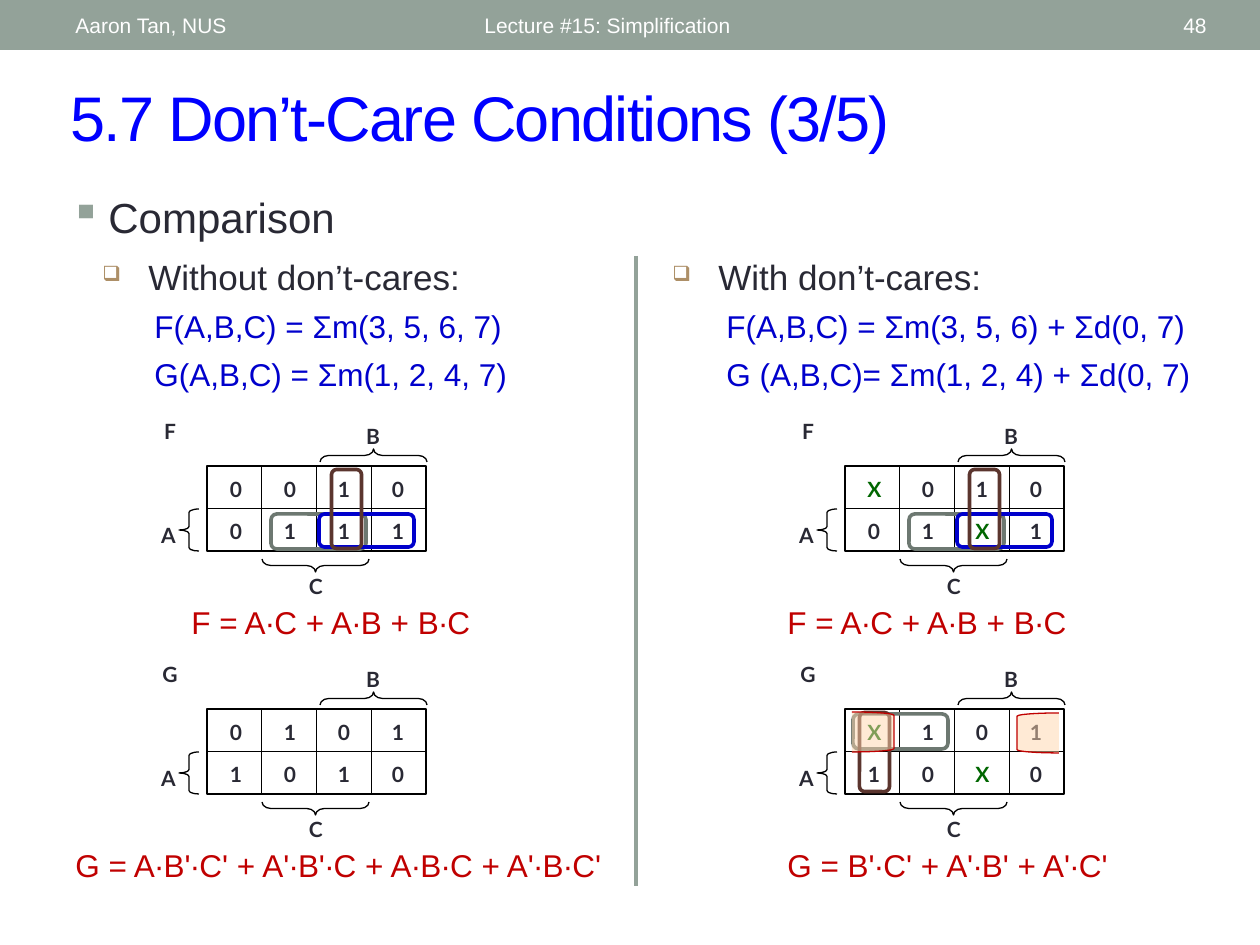
from lxml import etree
from pptx import Presentation
from pptx.dml.color import RGBColor
from pptx.enum.shapes import MSO_CONNECTOR, MSO_SHAPE
from pptx.enum.text import MSO_ANCHOR, PP_ALIGN
from pptx.oxml.ns import qn
from pptx.util import Emu, Pt

RECT, ROUNDED = MSO_SHAPE.RECTANGLE, MSO_SHAPE.ROUNDED_RECTANGLE
BRACE, BRACKET = MSO_SHAPE.LEFT_BRACE, MSO_SHAPE.LEFT_BRACKET
STRAIGHT = MSO_CONNECTOR.STRAIGHT
TOP, MIDDLE = MSO_ANCHOR.TOP, MSO_ANCHOR.MIDDLE
LEFT, CENTER, RIGHT = PP_ALIGN.LEFT, PP_ALIGN.CENTER, PP_ALIGN.RIGHT

SAGE, TAN, DARK, BLACK, WHITE = "93A299", "AD8F67", "292934", "000000", "FFFFFF"
GRAY, NAVY, BROWN, RED, GREEN = "6D7871", "0000CC", "5B352E", "C00000", "006600"
PEACH = "FFD6AD"

HEADER = {"size": 12, "color": WHITE, "anchor": MIDDLE}
TITLE = {"size": 36, "color": "0000FF", "anchor": MIDDLE, "spacing": -100}
TOPIC = {"size": 24, "color": DARK, "bullet": ("▪", SAGE, 100), "indent": (38, -38)}
HEADING = {"size": 20, "color": DARK, "bullet": ("❑", TAN, 60), "indent": (92, -46), "level": 1}
MINTERMS = {"size": 18, "color": NAVY, "indent": (15, 0), "level": 1}
RESULT = {**MINTERMS, "color": RED}
MAP_LABEL = {"size": 12, "color": DARK, "font": "Lato", "bold": True, "align": CENTER, "wrap": False}

TEXTS = [
    (["5.7 Don’t-Care Conditions (3/5)"], (58, 72, 1143, 88), TITLE),
    (["Lecture #15: Simplification"], (472, 3, 567, 45), HEADER),
    (["48"], (1099, 3, 120, 45), {**HEADER, "align": RIGHT}),
    (["Aaron Tan, NUS"], (63, 3, 399, 45), HEADER),
    (["Comparison"], (58, 185, 1134, 66), TOPIC),
    (["With don’t-cares:"], (614, 249, 451, 54), HEADING),
    (["Without don’t-cares:"], (44, 249, 451, 54), HEADING),
    (["F(A,B,C) = Σm(3, 5, 6, 7)", "G(A,B,C) = Σm(1, 2, 4, 7)"], (127, 301, 412, 112), MINTERMS),
    (["F(A,B,C) = Σm(3, 5, 6) + Σd(0, 7)", "G (A,B,C)= Σm(1, 2, 4) + Σd(0, 7)"],
     (699, 301, 525, 112), MINTERMS),
    (["F = A∙C + A∙B + B∙C"], (164, 597, 341, 54), RESULT),
    (["G = A∙B'∙C' + A'∙B'∙C + A∙B∙C + A'∙B∙C'"], (48, 840, 597, 54), RESULT),
    (["F = A∙C + A∙B + B∙C"], (760, 597, 341, 54), RESULT),
    (["G = B'∙C' + A'∙B' + A'∙C'"], (760, 840, 378, 54), RESULT),
]

F_LOOPS = [
    (ROUNDED, (64, 48, 95, 35), 0, GRAY),
    (ROUNDED, (112, 48, 95, 33), 0, NAVY),
    (ROUNDED, (100, 28, 79, 30), 270, BROWN),
]
G_LOOPS = [
    (ROUNDED, (8, 5, 95, 35), 0, GRAY),
    (ROUNDED, (-10, 28, 79, 30), 270, BROWN),
]
WRAP_AROUND = [((172, 4, 42, 40), False), ((7, 3, 42, 40), True)]

KARNAUGH_MAPS = [
    ("G", (207, 709), ["0101", "1010"], [], []),
    ("F", (207, 466), ["0010", "0111"], F_LOOPS, []),
    ("F", (845, 466), ["X010", "01X1"], F_LOOPS, []),
    ("G", (845, 709), ["X101", "10X0"], G_LOOPS, WRAP_AROUND),
]
GRID_W, GRID_H = 219, 85
BRACES = [
    ((-28, 43, 20, 42), 0, 0.17),
    ((160, -64, 13, 107), 90, 0.68),
    ((102, 46, 13, 107), 270, 0.68),
]
VARIABLES = [
    ("A", (-70, 50, 63, 34)),
    ("B", (146, -49, 40, 33)),
    ("C", (89, 101, 40, 37)),
]
NAME_BOX = (-58, -54, 42, 34)


def px(length):
    return Emu(round(length * 914400 / 126))


def rgb(value):
    return RGBColor.from_string(value)


def shift(box, origin):
    return box[0] + origin[0], box[1] + origin[1], box[2], box[3]


def add_bullet(props, mark, color, percent):
    tint = etree.SubElement(etree.SubElement(props, qn("a:buClr")), qn("a:srgbClr"))
    tint.set("val", color)
    etree.SubElement(props, qn("a:buSzPct")).set("val", str(percent * 1000))
    etree.SubElement(props, qn("a:buChar")).set("char", mark)


def add_text(parent, lines, box, style):
    frame = parent.add_textbox(*map(px, box)).text_frame
    frame.word_wrap = style.get("wrap", True)
    frame.vertical_anchor = style.get("anchor", TOP)
    font_values = {"name": style.get("font", "Arial"), "size": Pt(style["size"]),
                   "bold": style.get("bold", False)}
    for index, line in enumerate(lines):
        paragraph = frame.paragraphs[0] if index == 0 else frame.add_paragraph()
        props = paragraph._p.get_or_add_pPr()
        if "indent" in style:
            for key, length in zip(("marL", "indent"), style["indent"]):
                props.set(key, str(px(length)))
        if "bullet" in style:
            add_bullet(props, *style["bullet"])
        paragraph.level = style.get("level", 0)
        paragraph.alignment = style.get("align", LEFT)
        if index:
            paragraph.space_before = Pt(6)
        run = paragraph.add_run()
        run.text = line
        for key, value in font_values.items():
            setattr(run.font, key, value)
        run.font.color.rgb = rgb(style["color"])
        if "spacing" in style:
            run._r.get_or_add_rPr().set("spc", str(style["spacing"]))


def add_outline(parent, preset, box, line=None, width=0.75, fill=None, rotation=0):
    shape = parent.add_shape(preset, *map(px, box))
    shape.shadow.inherit = False
    shape.rotation = rotation
    if fill:
        shape.fill.solid()
        shape.fill.fore_color.rgb = rgb(fill)
    else:
        shape.fill.background()
    if line:
        shape.line.color.rgb = rgb(line)
        shape.line.width = Pt(width)
    else:
        shape.line.fill.background()
    return shape


def add_rule(parent, start, end, color=BLACK, width=0.75):
    rule = parent.add_connector(STRAIGHT, *map(px, (*start, *end)))
    rule.line.color.rgb = rgb(color)
    rule.line.width = Pt(width)
    etree.SubElement(rule._element.spPr, qn("a:effectLst"))


def add_map(parent, name, origin, rows):
    left, top = origin
    group = parent.add_group_shape().shapes
    add_outline(group, RECT, (left, top, GRID_W, GRID_H), BLACK, fill=WHITE)
    add_rule(group, (left, top + GRID_H / 2), (left + GRID_W, top + GRID_H / 2))
    for column in (1, 2, 3):
        x = left + GRID_W * column / 4
        add_rule(group, (x, top), (x, top + GRID_H))
    for box, rotation, curl in BRACES:
        brace = add_outline(group, BRACE, shift(box, origin), BLACK, rotation=rotation)
        brace.adjustments[0] = curl
    for label, box in [(name, NAME_BOX), *VARIABLES]:
        add_text(group, [label], shift(box, origin), MAP_LABEL)
    for row, values in enumerate(rows):
        for column, value in enumerate(values):
            cell = shift((10 + 54 * column, 4 + 42 * row, 38, 38), origin)
            color = GREEN if value == "X" else DARK
            add_text(group, [value], cell, {**MAP_LABEL, "color": color})


def add_bracket(parent, box, flipped):
    bracket = add_outline(parent, BRACKET, box, RED, fill=PEACH)
    tint = bracket._element.spPr.find(qn("a:solidFill"))[0]
    etree.SubElement(tint, qn("a:alpha")).set("val", "50000")
    if flipped:
        bracket._element.spPr.find(qn("a:xfrm")).set("flipH", "1")


def main():
    deck = Presentation()
    deck.slide_width, deck.slide_height = px(1260), px(945)
    shapes = deck.slides.add_slide(deck.slide_layouts[6]).shapes
    add_outline(shapes, RECT, (0, 0, 1260, 50), fill=SAGE)
    for lines, box, style in TEXTS:
        add_text(shapes, lines, box, style)
    for name, origin, rows, loops, brackets in KARNAUGH_MAPS:
        add_map(shapes, name, origin, rows)
        for preset, box, rotation, color in loops:
            add_outline(shapes, preset, shift(box, origin), color, 2.08, rotation=rotation)
        for box, flipped in brackets:
            add_bracket(shapes, shift(box, origin), flipped)
    add_rule(shapes, (636, 256), (636, 886), SAGE, 2.25)
    deck.save("out.pptx")


if __name__ == "__main__":
    main()
